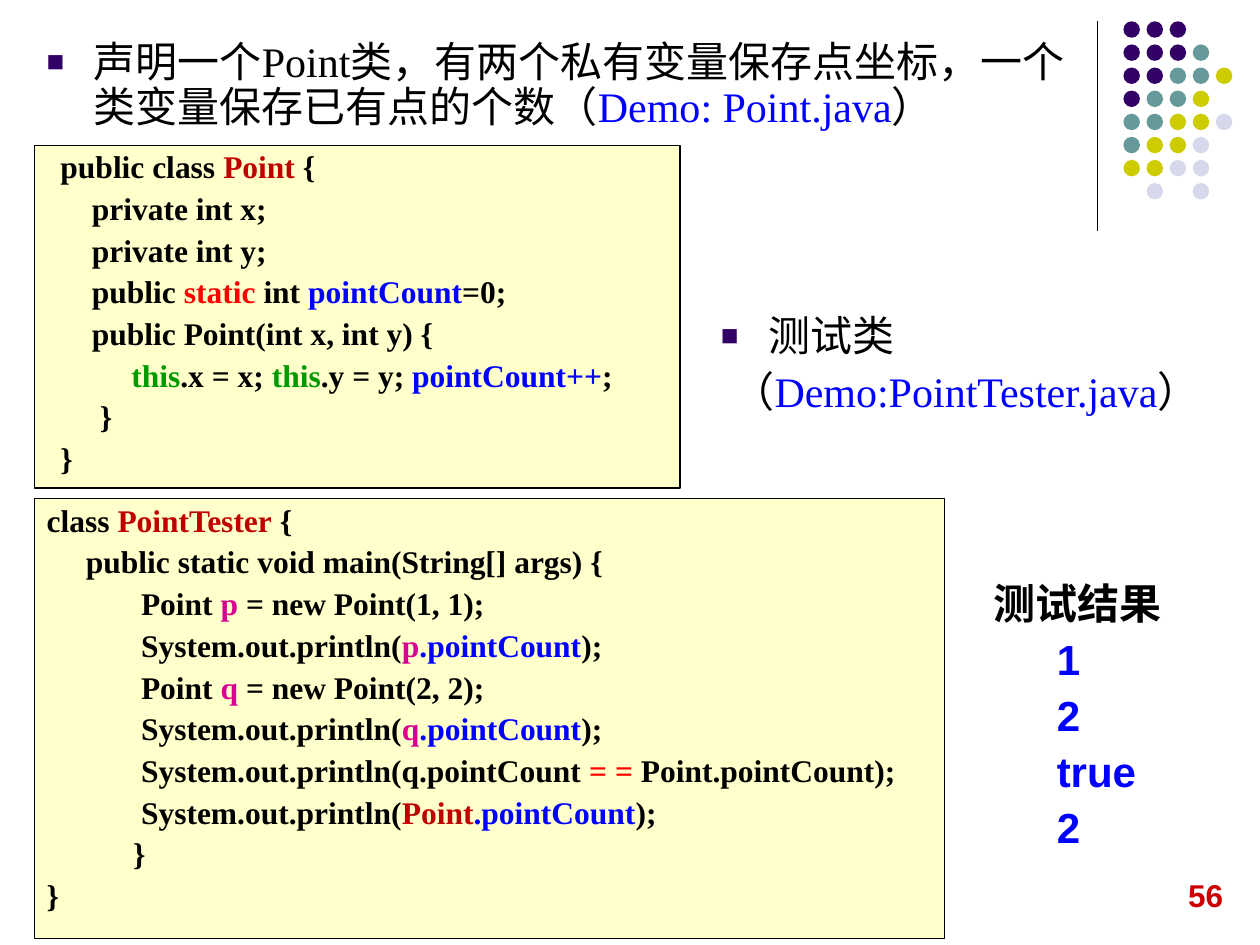
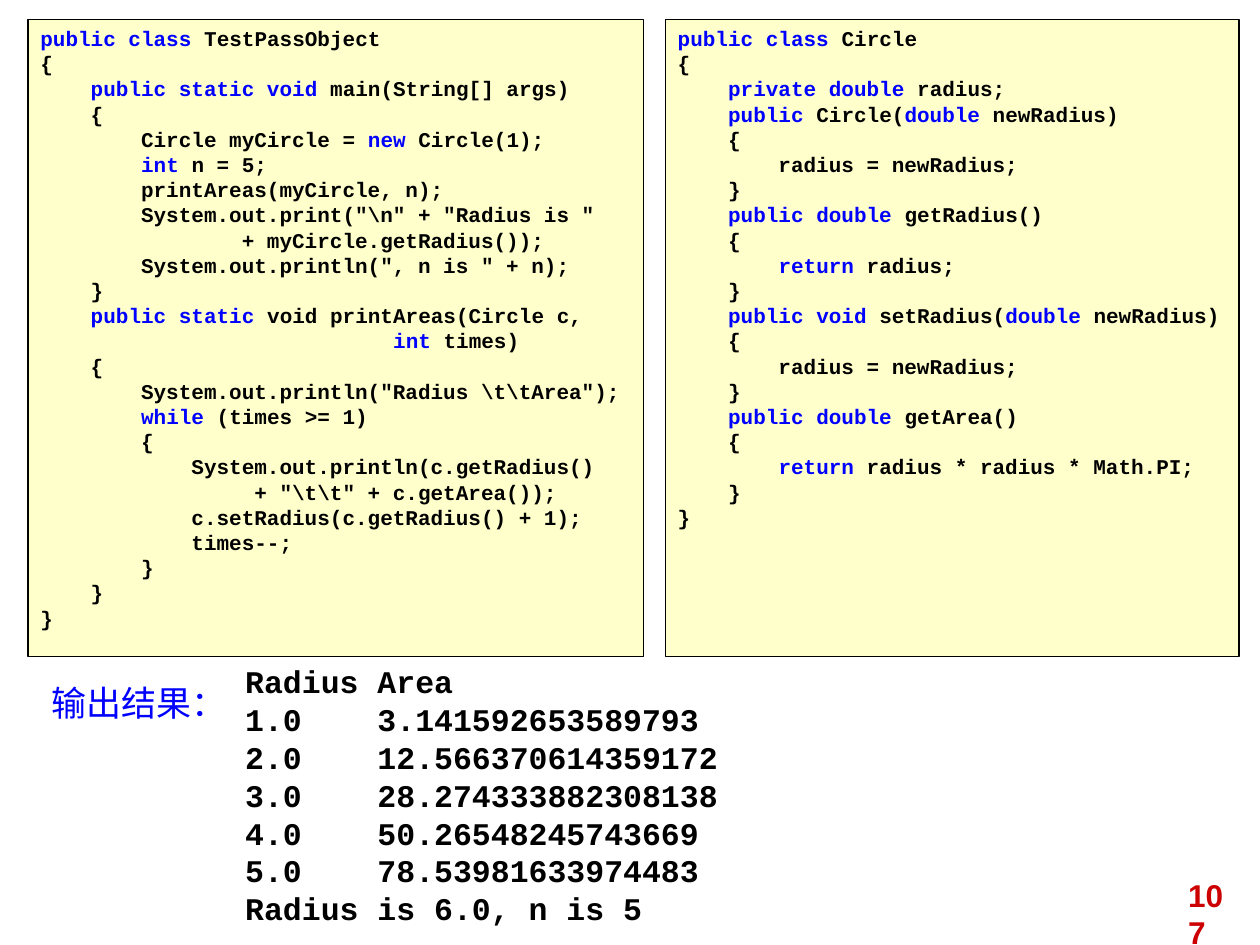
"""Build two Java teaching slides: class variables and passing objects to methods."""
from lxml import etree
from pptx import Presentation
from pptx import util as u
from pptx.dml.color import RGBColor
from pptx.enum import shapes, text
from pptx.oxml import ns

COLOURS = {
    "black": "000000", "blue": "0000FF", "red": "FF0000", "darkred": "C00000",
    "green": "009900", "pink": "D60093", "number": "CC0000", "cream": "FFFFCC",
    "purple": "330066", "teal": "669999", "olive": "CCCC00", "lilac": "D8D8EC",
}
SERIF, SANS, MONO, CHINESE = "Times New Roman", "Arial", "Courier New", "Noto Sans CJK SC"
DOT_COLOURS = {"P": "purple", "T": "teal", "O": "olive", "L": "lilac"}
DOT_ROWS = ["PPP", "PPPT", "PPTTO", "PTTO", "TTOOL", "TOOL", "OOLL", ".L.L"]

POINT_CODE = """public class «darkred Point» {
    private int x;
    private int y;
    public «red static »int «blue pointCount»=0;
    public Point(int x, int y) {
         «green this».x = x; «green this».y = y; «blue pointCount++»;
     }
}"""

TESTER_CODE = """class «darkred PointTester» {
     public static void main(String[] args) {
            Point «pink p» = new Point(1, 1);
            System.out.println(«pink p»«blue .pointCount»);
            Point «pink q» = new Point(2, 2);
            System.out.println(«pink q»«blue .pointCount»);
            System.out.println(q.pointCount «red = = »Point.pointCount);
            System.out.println(«darkred Point»«blue .pointCount»);
           }
}"""

PASS_CODE = r"""«blue public class »TestPassObject
{
    «blue public static void» main(String[] args)
    {
        Circle myCircle = «blue new »Circle(1);
        «blue int» n = 5;
        printAreas(myCircle, n);
        System.out.print("\n" + "Radius is "
                + myCircle.getRadius());
        System.out.println(", n is " + n);
    }
    «blue public static» void printAreas(Circle c,
                            «blue int» times)
    {
        System.out.println("Radius \t\tArea");
        «blue while» (times >= 1)
        {
            System.out.println(c.getRadius()
                 + "\t\t" + c.getArea());
            c.setRadius(c.getRadius() + 1);
            times--;
        }
    }
}"""

CIRCLE_CODE = """«blue public class »Circle
{
    «blue private double» radius;
    «blue public »Circle(«blue double »newRadius)
    {
        radius = newRadius;
    }
    «blue public double »getRadius()
    {
        «blue return» radius;
    }
    «blue public void »setRadius(«blue double »newRadius)
    {
        radius = newRadius;
    }
    «blue public double »getArea()
    {
        «blue return» radius * radius * Math.PI;
    }
}"""

AREA_OUTPUT = """Radius Area
1.0\t3.141592653589793
2.0\t12.566370614359172
3.0\t28.274333882308138
4.0\t50.26548245743669
5.0\t78.53981633974483
Radius is 6.0, n is 5"""


def rgb(name):
    """Return the named colour."""
    return RGBColor.from_string(COLOURS[name])


def points(*lengths):
    """Turn plain numbers into lengths in points."""
    return [u.Pt(length) for length in lengths]


def add_element(parent, tag, **attributes):
    """Append a drawing element to its parent and return it."""
    return etree.SubElement(parent, ns.qn(tag), attributes)


def split_spans(line, colour):
    """Yield (text, colour) pairs from a line marked like «blue int»."""
    plain, *marked = line.split("«")
    yield plain, colour
    for piece in marked:
        inside, after = piece.split("»")
        name, words = inside.split(" ", 1)
        yield words, name
        yield after, colour


def add_bullet(para):
    """Give a paragraph a square bullet with a hanging indent."""
    properties = para._p.get_or_add_pPr()
    properties.set("marL", str(u.Pt(27)))
    properties.set("indent", str(u.Pt(-27)))
    colour = add_element(properties, "a:buClr")
    add_element(colour, "a:srgbClr", val=COLOURS["purple"])
    add_element(properties, "a:buSzPct", val="70000")
    add_element(properties, "a:buFont", typeface=SANS)
    add_element(properties, "a:buChar", char="■")


def add_tab(para, position):
    """Set one left tab stop in a paragraph."""
    tabs = add_element(para._p.get_or_add_pPr(), "a:tabLst")
    add_element(tabs, "a:tab", pos=str(u.Pt(position)), algn="l")


def write_text(shape, content, font=SERIF, size=24, bold=False, colour="black", spacing=None,
               before=0, left=7.2, indent=0, bullet=False, tab=None, wrap=True):
    """Fill a shape with marked text; indent moves every paragraph after the first."""
    frame = shape.text_frame
    frame.word_wrap = wrap
    frame.vertical_anchor = text.MSO_ANCHOR.TOP
    frame.margin_left = u.Pt(left)
    for index, line in enumerate(content.split("\n")):
        para = frame.add_paragraph() if index else frame.paragraphs[0]
        para.alignment = text.PP_ALIGN.LEFT
        if spacing:
            para.line_spacing = spacing
        if index and before:
            para.space_before = u.Pt(before)
        if index and indent:
            para._p.get_or_add_pPr().set("marL", str(u.Pt(indent)))
        if bullet and not index:
            add_bullet(para)
        if tab and "\t" in line:
            add_tab(para, tab)
        for words, name in split_spans(line, colour):
            if words:
                span = para.add_run()
                span.text = words
                span.font.name, span.font.size, span.font.bold = font, u.Pt(size), bold
                span.font.color.rgb = rgb(name)
                add_element(span._r.get_or_add_rPr(), "a:ea", typeface=CHINESE)


def add_text(page, place, content, **style):
    """Add a text box."""
    write_text(page.shapes.add_textbox(*points(*place)), content, **style)


def add_shape(page, kind, place, fill):
    """Add a filled shape without shadow or outline."""
    shape = page.shapes.add_shape(kind, *points(*place))
    shape.shadow.inherit = False
    shape.fill.solid()
    shape.fill.fore_color.rgb = rgb(fill)
    shape.line.fill.background()
    return shape


def add_code(page, place, code, **style):
    """Add a cream panel of bold code."""
    panel = add_shape(page, shapes.MSO_SHAPE.RECTANGLE, place, "cream")
    panel.line.color.rgb = rgb("black")
    panel.line.width = u.Pt(0.75)
    write_text(panel, code, bold=True, wrap=False, **style)


def add_page_number(page, number):
    """Add the red page number at the lower right."""
    add_text(page, (671.8, 496.8, 34.6, 28.8), number, font=SANS, size=18, bold=True,
             colour="number")


def add_dots(page):
    """Add the corner rule and its grid of coloured dots."""
    rule = page.shapes.add_connector(shapes.MSO_CONNECTOR.STRAIGHT, *points(627, 12, 627, 132))
    rule.line.color.rgb = rgb("black")
    rule.line.width = u.Pt(0.75)
    add_element(rule._element.spPr, "a:effectLst")
    for row, letters in enumerate(DOT_ROWS):
        for column, letter in enumerate(letters):
            if letter in DOT_COLOURS:
                place = (642 + 13.2 * column, 12.2 + 13.2 * row, 9.4, 9.4)
                add_shape(page, shapes.MSO_SHAPE.OVAL, place, DOT_COLOURS[letter])


def build_point_slide(page):
    """Show the Point class, its tester and the result."""
    add_dots(page)
    add_page_number(page, "56")
    code_style = dict(size=18, spacing=0.9, before=4.4)
    note_style = dict(spacing=0.9, before=6)
    add_code(page, (19.6, 83, 369, 196), POINT_CODE, left=15, **code_style)
    add_text(page, (19.6, 20, 607, 75.6),
             "声明一个Point类，有两个私有变量保存点坐标，一个类变量保存已有点的个数（«blue Demo: Point.java»）",
             bullet=True, **note_style)
    add_text(page, (404.8, 176.4, 312, 71.3), "测试类\n（«blue Demo:PointTester.java»）",
             bullet=True, indent=6.7, **note_style)
    add_code(page, (19.6, 285, 520, 251.4), TESTER_CODE, **code_style)
    add_text(page, (560.8, 329.8, 131.8, 161.3),
             "测试结果\n«blue 1»\n«blue 2»\n«blue true»\n«blue 2»",
             font=SANS, bold=True, indent=36, **note_style)


def build_circle_slide(page):
    """Show an object passed to a method and the printed output."""
    add_page_number(page, "107")
    add_text(page, (133, 375, 312, 160), AREA_OUTPUT, font=MONO, size=18, bold=True, tab=75.6)
    add_text(page, (22.2, 386, 116, 31.7), "输出结果：", font=CHINESE, size=20, colour="blue",
             wrap=False)
    for left, width, code in ((16, 351.6, PASS_CODE), (380.2, 327.8, CIRCLE_CODE)):
        add_code(page, (left, 11, width, 364), code, font=MONO, size=12)


def main():
    """Build and save the deck."""
    deck = Presentation()
    deck.slide_width, deck.slide_height = points(720, 540)
    for build in (build_point_slide, build_circle_slide):
        build(deck.slides.add_slide(deck.slide_layouts[6]))
    deck.save("out.pptx")


if __name__ == "__main__":
    main()
